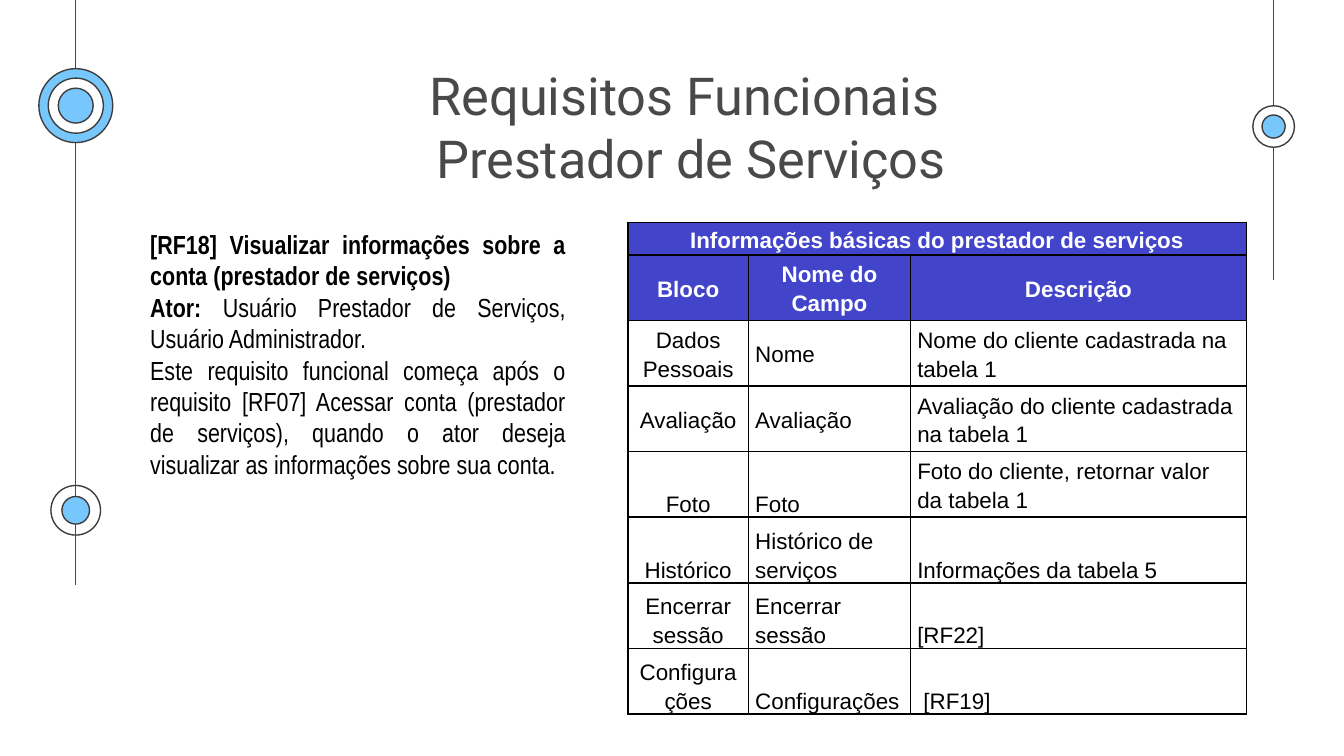
from dataclasses import dataclass

from lxml import etree
from pptx import Presentation
from pptx.dml.color import RGBColor
from pptx.enum import shapes, text
from pptx.oxml.ns import qn
from pptx.util import Pt


@dataclass(frozen=True)
class Theme:
    line: str = "3D3D3D"
    title: str = "494949"
    sky: str = "77C6FC"
    white: str = "FFFFFF"
    black: str = "000000"
    header: str = "4245CA"
    title_size: float = 28
    body_size: float = 14
    table_size: float = 12
    rule: float = 0.75
    border: float = 1


T = Theme()
MIDDLE, BOTTOM = text.MSO_ANCHOR.MIDDLE, text.MSO_ANCHOR.BOTTOM

TITLE = "Requisitos Funcionais \vPrestador de Serviços"
REQUIREMENT = [
    ("[RF18] Visualizar informações sobre a conta (prestador de serviços)", ""),
    ("Ator: ", "Usuário Prestador de Serviços, Usuário Administrador."),
    ("", "Este requisito funcional começa após o requisito [RF07] Acessar conta "
         "(prestador de serviços), quando o ator deseja visualizar as informações "
         "sobre sua conta."),
]
FIELDS = [
    ("Informações básicas do prestador de serviços", "", ""),
    ("Bloco", "Nome do Campo", "Descrição"),
    ("Dados Pessoais", "Nome", "Nome do cliente cadastrada na tabela 1"),
    ("Avaliação", "Avaliação", "Avaliação do cliente cadastrada na tabela 1"),
    ("Foto", "Foto", "Foto do cliente, retornar valor da tabela 1"),
    ("Histórico", "Histórico de serviços", "Informações da tabela 5"),
    ("Encerrar sessão", "Encerrar sessão", "[RF22]"),
    ("Configurações", "Configurações", " [RF19]"),
]
HEADER_ROWS = 2


def rgb(color):
    return RGBColor.from_string(color)


def set_font(font, name, size, color, bold=False):
    font.name, font.size, font.bold = name, Pt(size), bold
    font.color.rgb = rgb(color)


def add_ring(s, x, y, diameter, fill):
    r = diameter / 2
    sp = s.shapes.add_shape(shapes.MSO_SHAPE.OVAL, Pt(x - r), Pt(y - r),
                            Pt(diameter), Pt(diameter))
    sp.shadow.inherit = False
    if fill:
        sp.fill.solid()
        sp.fill.fore_color.rgb = rgb(fill)
    else:
        sp.fill.background()
    sp.line.color.rgb = rgb(T.line)
    sp.line.width = Pt(T.rule)


def add_timeline(s, x, length, markers):
    line = s.shapes.add_connector(shapes.MSO_CONNECTOR.STRAIGHT,
                                  Pt(x), 0, Pt(x), Pt(length))
    line.line.color.rgb = rgb(T.title)
    line.line.width = Pt(T.rule)
    etree.SubElement(line._element.spPr, qn("a:effectLst"))
    for y, rings in markers:
        for diameter, fill in rings:
            add_ring(s, x, y, diameter, fill)


def add_text_box(s, left, top, width, height):
    tf = s.shapes.add_textbox(Pt(left), Pt(top), Pt(width), Pt(height)).text_frame
    tf.word_wrap = True
    return tf


def add_title(s, left, top, width, height):
    tf = add_text_box(s, left, top, width, height)
    tf.margin_top = tf.margin_bottom = Pt(7.2)
    p = tf.paragraphs[0]
    p.text = TITLE
    p.alignment = text.PP_ALIGN.CENTER
    set_font(p.font, "Roboto", T.title_size, T.title)


def add_requirement(s, left, top, width, height):
    tf = add_text_box(s, left, top, width, height)
    for i, parts in enumerate(REQUIREMENT):
        p = tf.add_paragraph() if i else tf.paragraphs[0]
        p.alignment = text.PP_ALIGN.JUSTIFY
        for part, bold in zip(parts, (True, False)):
            if part:
                r = p.add_run()
                r.text = part
                set_font(r.font, "Arial Narrow", T.body_size, T.black, bold)


def add_borders(cell):
    tc_pr = cell._tc.get_or_add_tcPr()
    for side in ("lnL", "lnR", "lnT", "lnB"):
        ln = etree.SubElement(tc_pr, qn(f"a:{side}"), w=str(Pt(T.border)))
        fill = etree.SubElement(ln, qn("a:solidFill"))
        etree.SubElement(fill, qn("a:srgbClr"), val=T.black)


def style_cell(cell, label, header, centered, anchor):
    add_borders(cell)
    if header:
        cell.fill.solid()
        cell.fill.fore_color.rgb = rgb(T.header)
    else:
        cell.fill.background()
    cell.margin_left = cell.margin_right = Pt(3.6)
    cell.margin_top = cell.margin_bottom = 0
    cell.vertical_anchor = anchor
    p = cell.text_frame.paragraphs[0]
    p.text = label
    p.alignment = text.PP_ALIGN.CENTER if centered else text.PP_ALIGN.LEFT
    p.line_spacing = 1.15
    set_font(p.font, "Arial", T.table_size, T.white if header else T.black, header)


def add_fields_table(s, left, top, width, height):
    title_height = 17.3
    row_height = (height - title_height) / (len(FIELDS) - 1)
    table = s.shapes.add_table(len(FIELDS), 3, Pt(left), Pt(top),
                               Pt(width), Pt(height)).table
    table.first_row = table.horz_banding = False
    for column, share in zip(table.columns, (0.195, 0.262, 0.543)):
        column.width = Pt(width * share)
    for i, labels in enumerate(FIELDS):
        table.rows[i].height = Pt(row_height if i else title_height)
        header = i < HEADER_ROWS
        for j, label in enumerate(labels):
            low = i > 4 or (i == 4 and j < 2)
            style_cell(table.cell(i, j), label, header, header or j == 0,
                       BOTTOM if low else MIDDLE)
    table.cell(0, 0).merge(table.cell(0, 2))


def main():
    prs = Presentation()
    prs.slide_width, prs.slide_height = Pt(720), Pt(405)
    s = prs.slides.add_slide(prs.slide_layouts[6])
    add_timeline(s, 40.6, 313.2, [
        (56.6, [(39.6, T.sky), (29.5, T.white), (18.7, T.sky)]),
        (273.4, [(26.6, None), (14.8, T.sky)]),
    ])
    add_timeline(s, 682.3, 149.8, [(67.8, [(22.3, T.white), (12.4, T.sky)])])
    add_title(s, 220.3, 26.6, 299.5, 45.4)
    add_requirement(s, 73.4, 118.8, 236.9, 159.8)
    add_fields_table(s, 336.4, 119.2, 331.4, 263.5)
    prs.save("out.pptx")


if __name__ == "__main__":
    main()
